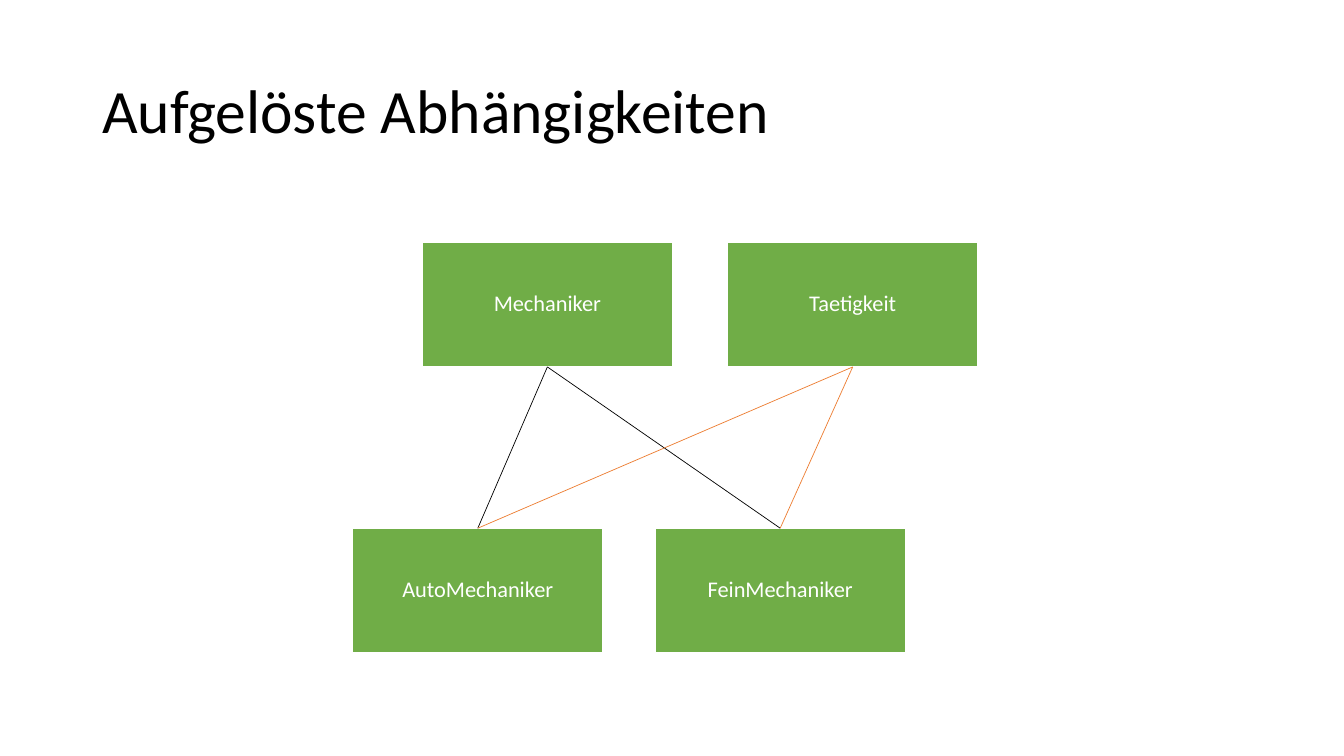
from pptx import Presentation
from pptx.dml.color import RGBColor
from pptx.enum.shapes import MSO_CONNECTOR, MSO_SHAPE
from pptx.enum.text import MSO_ANCHOR, PP_ALIGN
from pptx.oxml.ns import qn
from pptx.util import Pt
from lxml.etree import SubElement

TITLE = "Aufgelöste Abhängigkeiten"
COLORS = {"box": "70AD47", "white": "FFFFFF", "black": "000000", "orange": "ED7D31"}
FONT = "Calibri"

# class name: left, top
BOXES = {
    "Mechaniker": (301.7, 172.8),
    "AutoMechaniker": (252, 377.3),
    "FeinMechaniker": (468, 377.3),
    "Taetigkeit": (519.8, 172.8),
}
WIDE, HIGH = 178.6, 89.3

# base class, derived class, line color
LINKS = [
    ("Mechaniker", "AutoMechaniker", "black"),
    ("Mechaniker", "FeinMechaniker", "black"),
    ("Taetigkeit", "FeinMechaniker", "orange"),
    ("Taetigkeit", "AutoMechaniker", "orange"),
]
BOTTOM, TOP = 2, 0  # connection sites of a rectangle


def color(name):
    """Return the named color."""
    return RGBColor.from_string(COLORS[name])


def write(shape, text, size, hue, align, inset):
    """Put one vertically centred line of text in a shape."""
    frame = shape.text_frame
    frame.word_wrap = True
    frame.vertical_anchor = MSO_ANCHOR.MIDDLE
    frame.margin_left = frame.margin_right = Pt(inset[0])
    frame.margin_top = frame.margin_bottom = Pt(inset[1])
    para = frame.paragraphs[0]
    para.alignment = align
    para.line_spacing = 0.9
    run = para.add_run()
    run.text = text
    run.font.name = FONT
    run.font.size = Pt(size)
    run.font.color.rgb = color(hue)


def add_box(slide, name, left, top):
    """Draw one class box."""
    box = slide.shapes.add_shape(
        MSO_SHAPE.RECTANGLE, Pt(left), Pt(top), Pt(WIDE), Pt(HIGH))
    box.shadow.inherit = False
    box.fill.solid()
    box.fill.fore_color.rgb = color("box")
    box.line.color.rgb = color("white")
    box.line.width = Pt(1)
    write(box, name, 16, "white", PP_ALIGN.CENTER, (0.8, 0.8))
    return box


def add_link(slide, base, child, hue):
    """Join the bottom of a base class to the top of a derived one."""
    link = slide.shapes.add_connector(MSO_CONNECTOR.STRAIGHT, 0, 0, 0, 0)
    link.begin_connect(base, BOTTOM)
    link.end_connect(child, TOP)
    link.line.color.rgb = color(hue)
    link.line.width = Pt(0.5)
    SubElement(link._element.spPr, qn("a:effectLst"))


deck = Presentation()
deck.slide_width, deck.slide_height = Pt(960), Pt(540)
slide = deck.slides.add_slide(deck.slide_layouts[6])

boxes = {name: add_box(slide, name, *spot) for name, spot in BOXES.items()}
for base, child, hue in LINKS:
    add_link(slide, boxes[base], boxes[child], hue)

title = slide.shapes.add_textbox(Pt(66), Pt(28.75), Pt(828), Pt(104.4))
write(title, TITLE, 44, "black", PP_ALIGN.LEFT, (7.2, 3.6))

deck.save("out.pptx")
